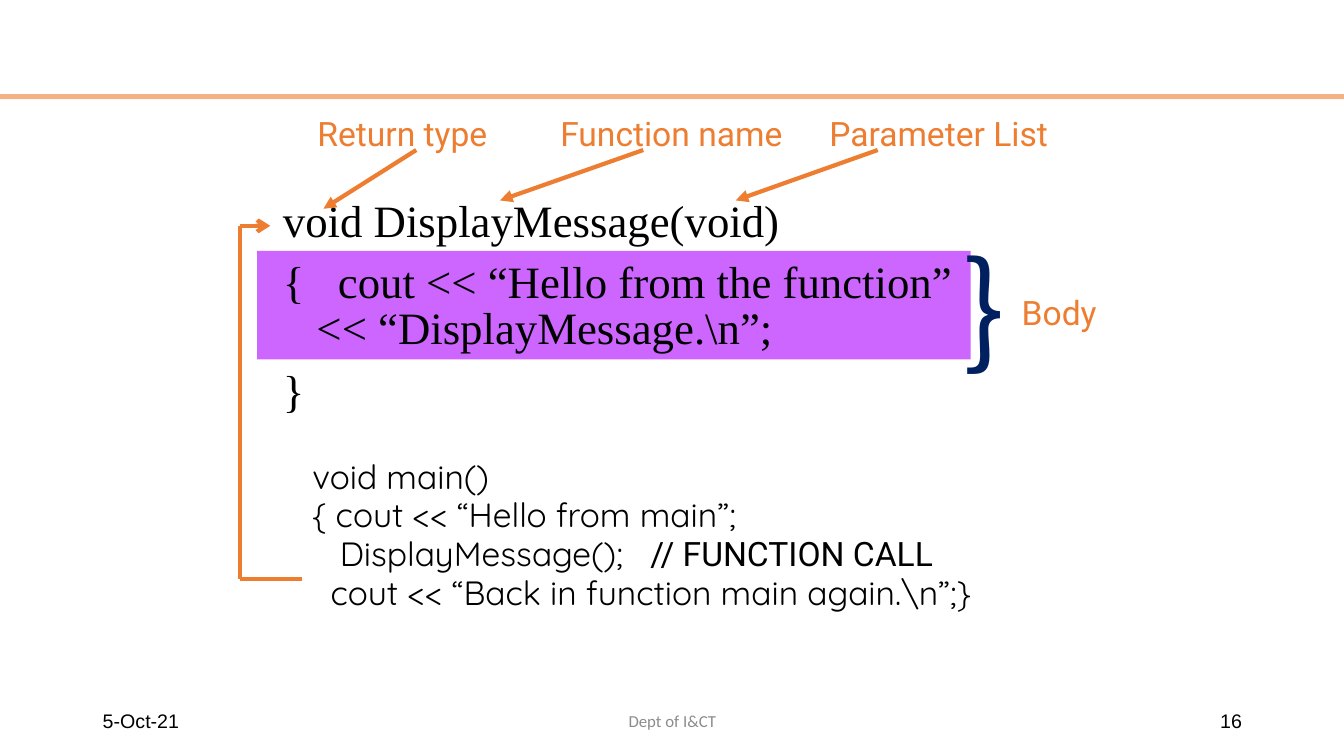
from dataclasses import dataclass
from itertools import pairwise

from lxml.etree import SubElement
from pptx import Presentation
from pptx.dml.color import RGBColor
from pptx.enum.shapes import MSO_CONNECTOR, MSO_SHAPE
from pptx.enum.text import MSO_ANCHOR, PP_ALIGN
from pptx.oxml.ns import qn
from pptx.util import Cm, Pt


@dataclass(frozen=True)
class Theme:
    rule: str = "F4B183"
    accent: str = "ED7D31"
    highlight: str = "CC66FF"
    brace: str = "002060"
    ink: str = "000000"
    muted: str = "8C8C8C"
    definition_size: int = 32
    label_size: int = 24
    brace_size: int = 88
    footer_size: int = 14
    department_size: int = 12
    line_width: int = 3
    label_font: str = "Roboto"
    definition_font: str = "Times New Roman"
    main_font: str = "Quicksand"
    brace_font: str = "Noto Sans CJK JP"
    footer_font: str = "Arial"
    department_font: str = "Calibri"


THEME = Theme()


def style_run(run, font, size, color):
    run.font.name = font
    run.font.size = Pt(size)
    run.font.color.rgb = RGBColor.from_string(color)


def add_band(slide, left, top, width, height, color):
    band = slide.shapes.add_shape(
        MSO_SHAPE.RECTANGLE, Cm(left), Cm(top), Cm(width), Cm(height))
    band.shadow.inherit = False
    band.fill.solid()
    band.fill.fore_color.rgb = RGBColor.from_string(color)
    band.line.fill.background()


def add_text(slide, box, lines, font, size, color, align=PP_ALIGN.LEFT,
             anchor=MSO_ANCHOR.TOP, spacings=None, gap=0):
    frame = slide.shapes.add_textbox(*map(Cm, box)).text_frame
    frame.word_wrap = True
    frame.vertical_anchor = anchor
    frame.text = "\n".join(lines)
    for index, paragraph in enumerate(frame.paragraphs):
        paragraph.alignment = align
        if spacings:
            paragraph.line_spacing = spacings[index]
        if index:
            paragraph.space_before = Pt(gap)
        for run in paragraph.runs:
            style_run(run, font, size, color)
    return frame


def add_line(slide, start, end, head=None):
    line = slide.shapes.add_connector(
        MSO_CONNECTOR.STRAIGHT, *map(Cm, (*start, *end)))
    line.line.color.rgb = RGBColor.from_string(THEME.accent)
    line.line.width = Pt(THEME.line_width)
    if head:
        SubElement(line.line._get_or_add_ln(), qn("a:tailEnd"), type=head)
    SubElement(line._element.spPr, qn("a:effectLst"))


def add_label(slide, left, top, width, wording):
    add_text(slide, (left, top, width, 1.3), [wording],
             THEME.label_font, THEME.label_size, THEME.accent)


def add_call_path(slide):
    corners = [(7.6, 14.58), (6.05, 14.58), (6.05, 5.69), (6.81, 5.69)]
    segments = list(pairwise(corners))
    for start, end in segments:
        add_line(slide, start, end,
                 "arrow" if (start, end) == segments[-1] else None)


def add_definition(slide):
    add_band(slide, 6.48, 6.32, 17.98, 2.74, THEME.highlight)
    add_text(slide, (6.88, 5.05, 20.85, 5.74),
             ["void DisplayMessage(void)",
              "{   cout << “Hello from the function”\v   << “DisplayMessage.\\n”;",
              "}"],
             THEME.definition_font, THEME.definition_size, THEME.ink,
             spacings=(0.75, 0.85, 0.85), gap=12)


def add_main_program(slide):
    program = add_text(slide, (7.62, 11.63, 22.02, 4.22),
                       ["void main()",
                        "{ cout << “Hello from main”;",
                        "   DisplayMessage();   ",
                        "  cout << “Back in function main again.\\n”;}"],
                       THEME.main_font, THEME.label_size, THEME.ink,
                       spacings=(0.7,) * 4, gap=7.6)
    remark = program.paragraphs[2].add_run()
    remark.text = "// FUNCTION CALL"
    style_run(remark, THEME.label_font, THEME.label_size, THEME.ink)


def add_callouts(slide):
    callouts = [
        ("Return type", 7.75, 6.55, (10.49, 3.78), (8.15, 5.26)),
        ("Function name", 13.87, 6.55, (16.21, 3.78), (12.6, 5.05)),
        ("Parameter List", 20.65, 6.99, (22.12, 3.78), (18.54, 5.05)),
    ]
    for wording, left, width, start, end in callouts:
        add_label(slide, left, 2.72, width, wording)
        add_line(slide, start, end, "triangle")


def add_body_brace(slide):
    add_text(slide, (24.03, 5.69, 2.34, 4.01), ["}"],
             THEME.brace_font, THEME.brace_size, THEME.brace)
    add_label(slide, 25.5, 7.24, 2.8, "Body")


def add_footer(slide):
    top, height = 17.65, 1.02
    entries = [
        ("5-Oct-21", 2.34, 7.62, PP_ALIGN.LEFT,
         THEME.footer_font, THEME.footer_size, THEME.ink),
        ("Dept of I&CT", 11.23, 11.43, PP_ALIGN.CENTER,
         THEME.department_font, THEME.department_size, THEME.muted),
        ("16", 23.93, 7.62, PP_ALIGN.RIGHT,
         THEME.footer_font, THEME.footer_size, THEME.ink),
    ]
    for wording, left, width, align, font, size, color in entries:
        add_text(slide, (left, top, width, height), [wording],
                 font, size, color, align, MSO_ANCHOR.MIDDLE)


def main():
    deck = Presentation()
    deck.slide_width = Cm(33.87)
    deck.slide_height = Cm(19.05)
    slide = deck.slides.add_slide(deck.slide_layouts[6])
    add_band(slide, 0, 2.37, 33.87, 0.13, THEME.rule)
    add_definition(slide)
    add_main_program(slide)
    add_call_path(slide)
    add_callouts(slide)
    add_body_brace(slide)
    add_footer(slide)
    deck.save("out.pptx")


if __name__ == "__main__":
    main()
